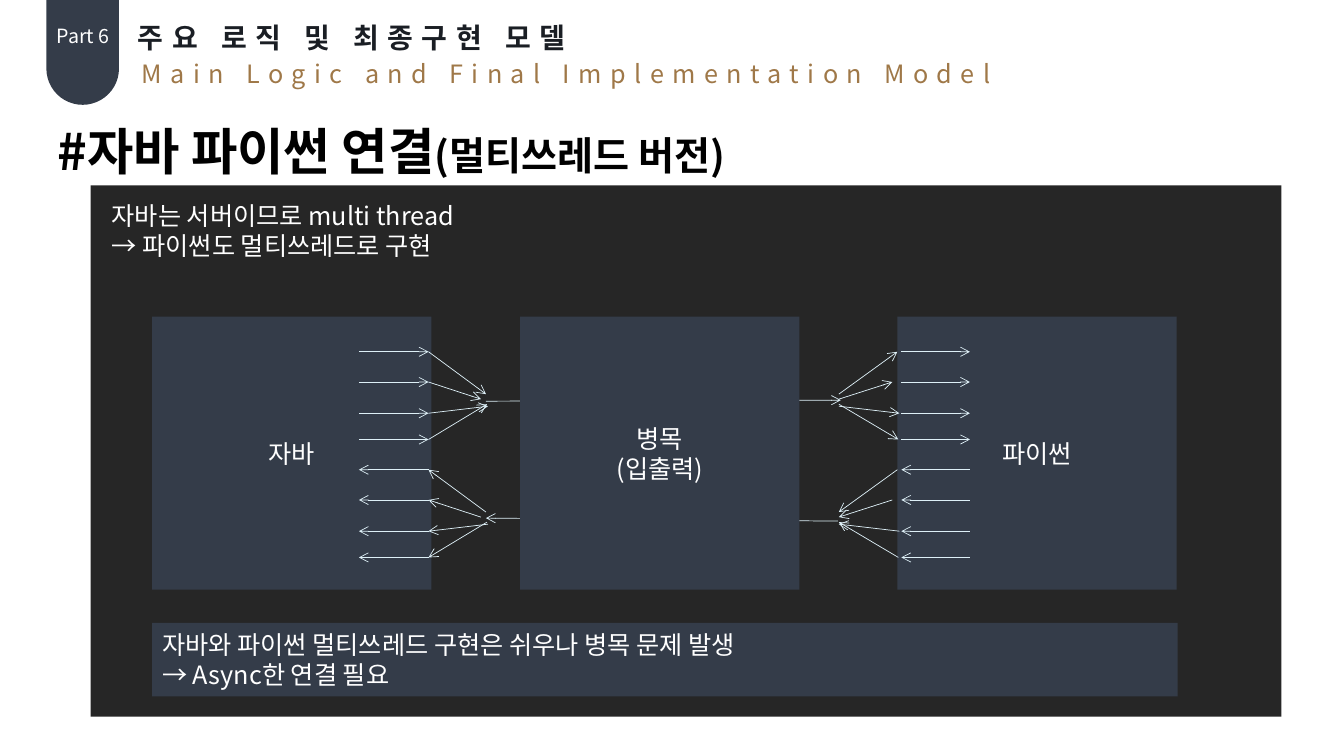
import pptx
import pptx.util
import pptx.dml.color
import pptx.enum.shapes
import pptx.enum.text
import pptx.oxml
import pptx.oxml.ns

Inches, Pt = pptx.util.Inches, pptx.util.Pt
SHAPE = pptx.enum.shapes.MSO_SHAPE
ALIGN = pptx.enum.text.PP_ALIGN
ANCHOR = pptx.enum.text.MSO_ANCHOR
qn = pptx.oxml.ns.qn

FONT = "Noto Sans CJK KR"
COLORS = {"navy": "343C49", "panel": "262626", "white": "FFFFFF", "black": "000000",
          "title": "1A1E24", "gold": "9F7848", "arrow": "DEF0F7"}


def rgb(name):
    return pptx.dml.color.RGBColor.from_string(COLORS[name])


def add_xml(parent, tag, **attrs):
    el = pptx.oxml.parse_xml(f"<{tag} {pptx.oxml.ns.nsdecls('a')}/>")
    for key, value in attrs.items():
        el.set(key, value)
    parent.append(el)


def write(tf, lines, size, color, bold=False, align=ALIGN.LEFT, spacing=0):
    """Fill a text frame, one paragraph per line."""
    for i, line in enumerate(lines):
        p = tf.paragraphs[0] if i == 0 else tf.add_paragraph()
        p.alignment = align
        p.add_run().text = line
        p.font.name, p.font.size, p.font.bold = FONT, Pt(size), bold
        p.font.color.rgb = rgb(color)
        props = p._p.pPr.find(qn("a:defRPr"))
        add_xml(props, "a:ea", typeface=FONT)
        if spacing:
            props.set("spc", str(spacing * 100))


def add_text(s, box, lines, size, color, wrap=False, **style):
    tf = s.shapes.add_textbox(*map(Inches, box)).text_frame
    tf.word_wrap = wrap
    tf.auto_size = pptx.enum.text.MSO_AUTO_SIZE.SHAPE_TO_FIT_TEXT
    write(tf, lines, size, color, **style)
    return tf


def add_box(s, box, fill, lines=(), align=ALIGN.CENTER, kind=SHAPE.RECTANGLE):
    sp = s.shapes.add_shape(kind, *map(Inches, box))
    sp.shadow.inherit = False
    sp.fill.solid()
    sp.fill.fore_color.rgb = rgb(fill)
    sp.line.fill.background()
    sp.text_frame.vertical_anchor = ANCHOR.MIDDLE
    write(sp.text_frame, lines, 18, "white", align=align)
    return sp


def add_arrow(s, start, end):
    line = s.shapes.add_connector(pptx.enum.shapes.MSO_CONNECTOR.STRAIGHT,
                                  *map(Inches, (*start, *end)))
    line.line.color.rgb = rgb("arrow")
    line.line.width = Pt(0.5)
    add_xml(line.line._get_or_add_ln(), "a:tailEnd", type="arrow")
    add_xml(line._element.spPr, "a:effectLst")


def add_threads(s):
    """Four request threads run rightwards, four reply threads leftwards."""
    rows = (3.49, 3.79, 4.1, 4.36)
    merge_rows = (3.91, 3.96, 4.03, 4.01)
    java_merge = (4.82, 4.77, 4.84, 4.83)
    python_edge = (8.9, 8.85, 8.92, 8.91)
    for shift, order in ((0, 1), (1.17, -1)):
        for y, merge_y, merge_x, edge_x in zip(rows, merge_rows, java_merge, python_edge):
            y, merge_y = y + shift, merge_y + shift
            segments = (
                ((3.56, y), (4.25, y)),
                ((4.25, y), (merge_x, merge_y)),
                ((8.32, merge_y), (edge_x, y)),
                ((8.94, y), (9.62, y)),
            )
            for segment in segments:
                add_arrow(s, *segment[::order])
    # Single channel through the bottleneck
    add_arrow(s, (4.82, 3.98), (8.34, 3.97))
    add_arrow(s, (8.31, 5.17), (4.82, 5.14))


def main():
    prs = pptx.Presentation()
    prs.slide_width, prs.slide_height = Inches(13.33), Inches(7.5)
    s = prs.slides.add_slide(prs.slide_layouts[6])

    # Header
    tab = add_box(s, (0.46, 0, 0.72, 1.04), "navy", kind=SHAPE.ROUND_2_SAME_RECTANGLE)
    tab.adjustments[0], tab.adjustments[1] = 0, 0.5
    add_text(s, (1.27, 0.15, 4.94, 0.44), ["주요 로직 및 최종구현 모델"], 20, "title",
             bold=True, spacing=6)
    add_text(s, (0.46, 0.19, 0.73, 0.34), ["Part 6"], 14, "white", align=ALIGN.CENTER)
    add_text(s, (1.31, 0.53, 8.77, 0.4), ["Main Logic and Final Implementation Model"],
             18, "gold", spacing=6)

    # Panel and heading
    add_box(s, (0.9, 1.84, 11.81, 5.27), "panel")
    heading = add_text(s, (0.47, 1.14, 7.56, 0.71), ["#자바 파이썬 연결"], 36, "black", bold=True)
    r = heading.paragraphs[0].add_run()
    r.text = "(멀티쓰레드 버전)"
    r.font.size = Pt(28)
    add_text(s, (1.01, 1.94, 11.57, 0.71),
             ["자바는 서버이므로 multi thread", "→ 파이썬도 멀티쓰레드로 구현"],
             18, "white", wrap=True)

    # Diagram: the bottleneck box covers the middle of the channel
    add_box(s, (1.51, 3.14, 2.77, 2.71), "navy", ["자바"])
    add_box(s, (8.9, 3.14, 2.77, 2.71), "navy", ["파이썬"])
    add_threads(s)
    add_box(s, (5.16, 3.14, 2.77, 2.71), "navy", ["병목", "(입출력)"])

    # Conclusion
    add_box(s, (1.51, 6.18, 10.17, 0.73), "navy",
            ["자바와 파이썬 멀티쓰레드 구현은 쉬우나 병목 문제 발생", "→ Async한 연결 필요"],
            align=ALIGN.LEFT)

    prs.save("out.pptx")


if __name__ == "__main__":
    main()
